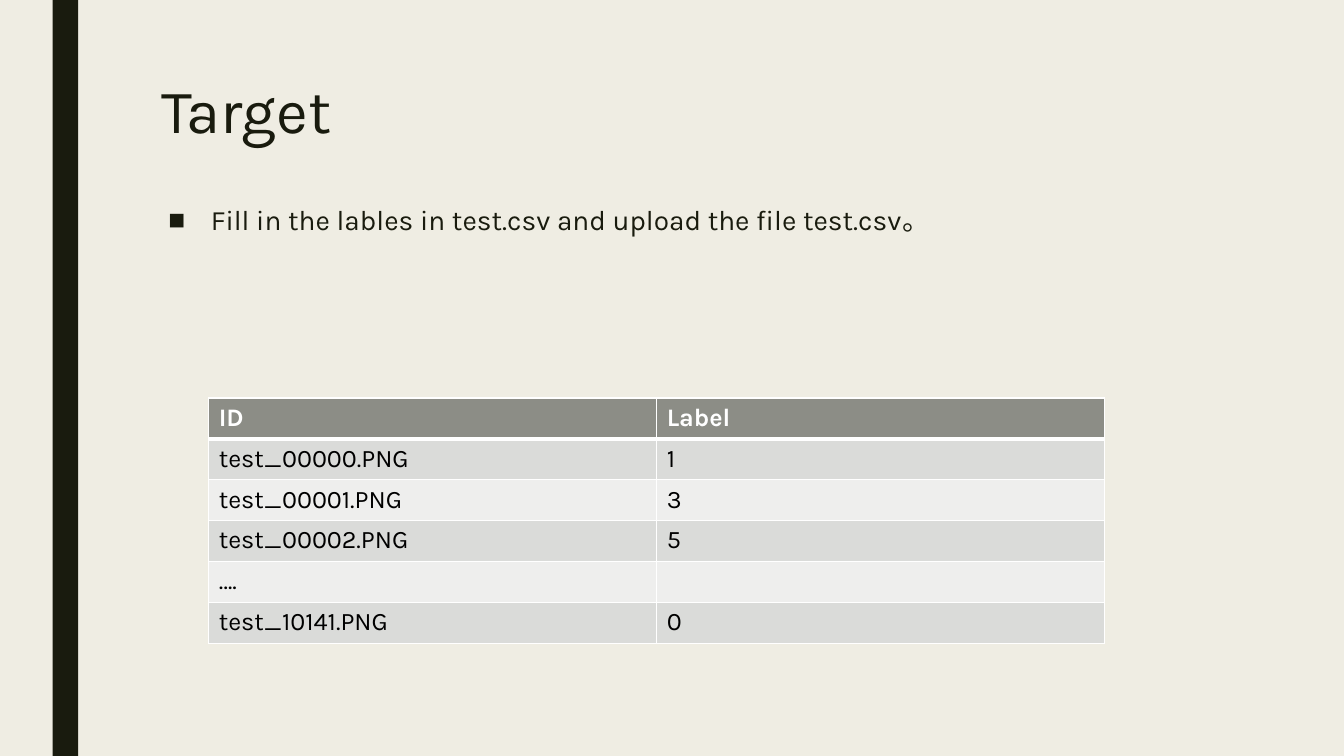
"""Build the "Target" slide: a task line and a sample of the label file."""
from dataclasses import dataclass

from lxml import etree
from pptx import Presentation
from pptx.dml.color import RGBColor
from pptx.enum import shapes, text
from pptx.oxml import ns
from pptx.util import Cm, Pt

FONT = "Karla"
INK, PAPER, WHITE, BLACK = "191B0E", "EFEDE3", "FFFFFF", "000000"
HEADER_FILL, BAND_FILLS = "8C8D86", ("DADBD9", "EEEEED")
SLIDE_WIDTH, SLIDE_HEIGHT = Cm(33.87), Cm(19.05)
ROW_HEIGHT, COLUMN_WIDTH = Cm(1.03), Cm(11.29)

SAMPLE = [
    ("ID", "Label"),
    ("test_00000.PNG", "1"),
    ("test_00001.PNG", "3"),
    ("test_00002.PNG", "5"),
    ("….", ""),
    ("test_10141.PNG", "0"),
]


@dataclass
class Block:
    """A placeholder's text, place in centimetres, and format."""
    wording: str
    left: float
    top: float
    width: float
    height: float
    size: int
    paragraph: dict


HEADING = Block("Target", 3.81, 1.9, 26.67, 4.11, 44,
                {"line_spacing": 0.89, "alignment": text.PP_ALIGN.LEFT})
TASK = Block("Fill in the lables in test.csv and upload the file test.csv。",
             3.99, 5.05, 26.67, 9.96, 20,
             {"line_spacing": 0.94, "space_before": Pt(10), "space_after": Pt(2)})


def colour(value: str) -> RGBColor:
    """Turn a hex string into a colour."""
    return RGBColor.from_string(value)


def apply(target, values: dict) -> None:
    """Set each named attribute on the target."""
    for name, value in values.items():
        setattr(target, name, value)


def write(paragraph, wording: str, size: int, hue: str, bold: bool = False) -> None:
    """Add one formatted run to a paragraph."""
    run = paragraph.add_run()
    run.text = wording
    apply(run.font, {"name": FONT, "size": Pt(size), "bold": bold})
    run.font.color.rgb = colour(hue)


def fill_block(placeholder, block: Block):
    """Move a placeholder, write its text and return the paragraph."""
    apply(placeholder, {side: Cm(getattr(block, side))
                        for side in ("left", "top", "width", "height")})
    frame = placeholder.text_frame
    apply(frame, {"word_wrap": True, "auto_size": text.MSO_AUTO_SIZE.NONE,
                  "vertical_anchor": text.MSO_ANCHOR.TOP})
    paragraph = frame.paragraphs[0]
    apply(paragraph, block.paragraph)
    write(paragraph, block.wording, block.size, INK)
    return paragraph


def add_bullet(paragraph, mark: str, indent: int) -> None:
    """Give a paragraph a hanging bullet."""
    properties = paragraph._p.get_or_add_pPr()
    properties.set("marL", str(indent))
    properties.set("indent", str(-indent))
    etree.SubElement(properties, ns.qn("a:buChar")).set("char", mark)


def add_borders(cell, widths: dict) -> None:
    """Draw white cell borders; widths are points by edge letter."""
    properties = cell._tc.get_or_add_tcPr()
    for edge, width in widths.items():
        line = etree.SubElement(properties, ns.qn(f"a:ln{edge}"), w=str(Pt(width)))
        solid = etree.SubElement(line, ns.qn("a:solidFill"))
        etree.SubElement(solid, ns.qn("a:srgbClr"), val=WHITE)


def add_sample(slide) -> None:
    """Add the table of file names and labels."""
    rows, columns = len(SAMPLE), len(SAMPLE[0])
    table = slide.shapes.add_table(rows, columns, Cm(5.26), Cm(10.03),
                                   COLUMN_WIDTH * columns, ROW_HEIGHT * rows).table
    for row, entries in enumerate(SAMPLE):
        header = row == 0
        for column, entry in enumerate(entries):
            cell = table.cell(row, column)
            add_borders(cell, {"L": 1, "R": 1, "T": 3 if row == 1 else 1,
                               "B": 3 if header else 1})
            cell.fill.solid()
            cell.fill.fore_color.rgb = colour(
                HEADER_FILL if header else BAND_FILLS[(row - 1) % 2])
            if entry:
                write(cell.text_frame.paragraphs[0], entry, 18,
                      WHITE if header else BLACK, header)


def add_stripe(slide) -> None:
    """Add the dark stripe along the left side."""
    stripe = slide.shapes.add_shape(shapes.MSO_SHAPE.RECTANGLE,
                                    Cm(1.33), 0, Cm(0.64), SLIDE_HEIGHT)
    stripe.shadow.inherit = False
    stripe.fill.solid()
    stripe.fill.fore_color.rgb = colour(INK)
    stripe.line.fill.background()


def main() -> None:
    """Build and save the slide."""
    deck = Presentation()
    apply(deck, {"slide_width": SLIDE_WIDTH, "slide_height": SLIDE_HEIGHT})
    slide = deck.slides.add_slide(deck.slide_layouts[1])
    slide.background.fill.solid()
    slide.background.fill.fore_color.rgb = colour(PAPER)
    add_stripe(slide)
    fill_block(slide.shapes.title, HEADING)
    add_bullet(fill_block(slide.placeholders[1], TASK), "■", Cm(1.07))
    add_sample(slide)
    deck.save("out.pptx")


main()
